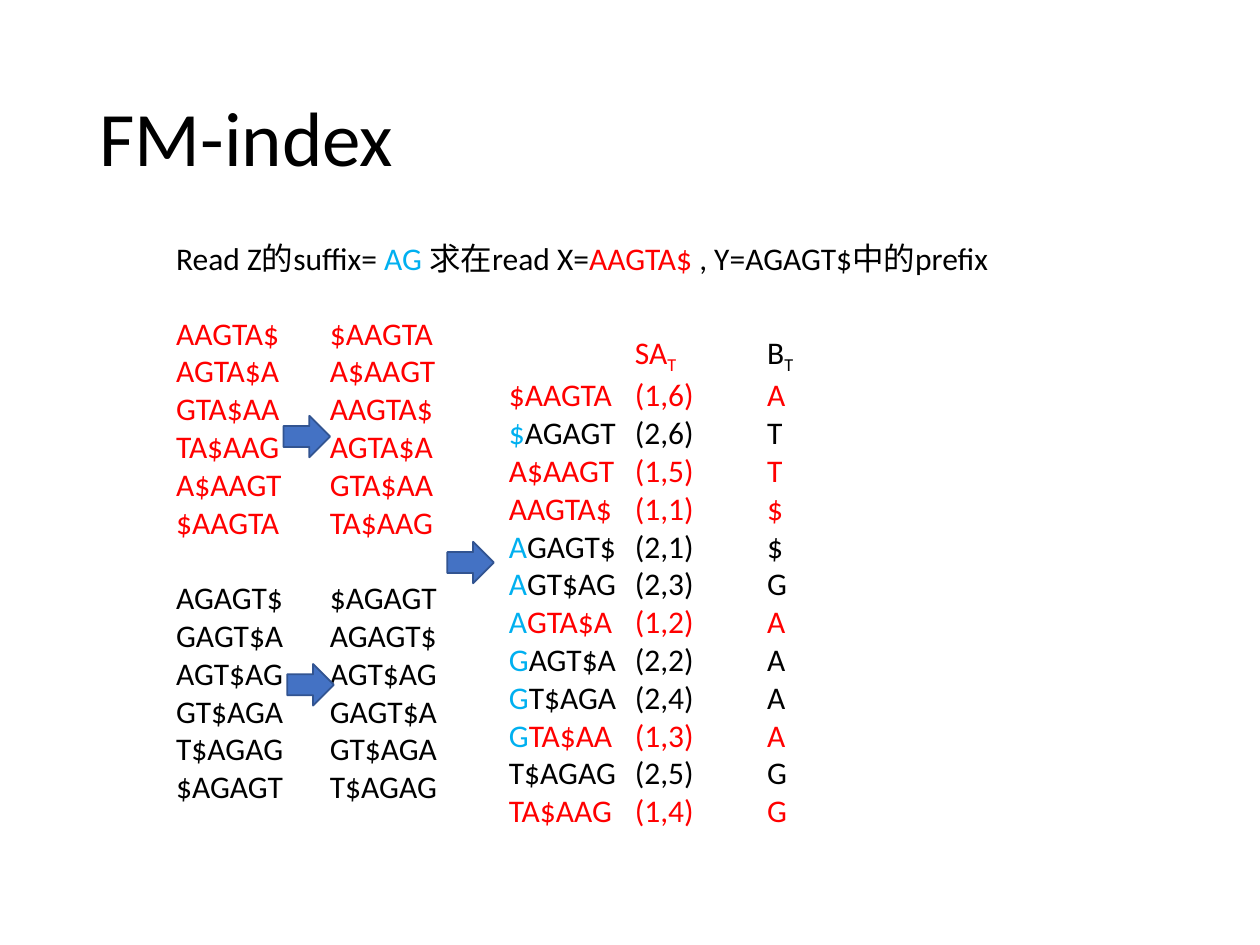
from pptx import Presentation
from pptx.dml.color import RGBColor
from pptx.enum.shapes import MSO_SHAPE
from pptx.enum.text import MSO_ANCHOR, MSO_AUTO_SIZE, PP_ALIGN
from pptx.oxml.ns import qn
from pptx.util import Inches, Pt
from lxml import etree

ARROW = MSO_SHAPE.RIGHT_ARROW
MIDDLE = MSO_ANCHOR.MIDDLE
GROW = MSO_AUTO_SIZE.SHAPE_TO_FIT_TEXT
LEFT = PP_ALIGN.LEFT

BLACK, RED, BLUE = "000000", "FF0000", "00B0F0"
READS = [("AAGTA$", RED), ("AGAGT$", BLACK)]
MATCHED = {1, 4, 5, 6, 7, 8, 9}  # sorted rows whose first letter is marked
GAP = Pt(21.6)  # one line of body text
ARROWS = [(2.25, 3.3), (2.28, 5.27), (3.55, 4.3)]
QUERY = [
    ("Read Z的suffix=", BLACK),
    (" AG ", BLUE),
    ("求在read X=", BLACK),
    ("AAGTA$ ", RED),
    (", Y=AGAGT$中的prefix", BLACK),
]


def rgb(code):
    return RGBColor.from_string(code)


def style(font, size, color):
    form = {"name": "Calibri", "size": Pt(size)}
    for key, value in form.items():
        setattr(font, key, value)
    font.color.rgb = rgb(color)


def add_run(para, text, color, sub=False):
    run = para.add_run()
    run.text = text
    style(run.font, 18, color)
    if sub:
        run._r.get_or_add_rPr().set("baseline", "-25000")


def add_tabs(para, stops):
    tabs = etree.SubElement(para._p.get_or_add_pPr(), qn("a:tabLst"))
    for stop in stops:
        etree.SubElement(tabs, qn("a:tab"), pos=str(Inches(stop)), algn="l")


def add_text(slide, box, lines, wrap=False, tabs=(), gaps=()):
    """Each line is a list of run tuples; gaps holds the lines set apart."""
    frame = slide.shapes.add_textbox(*map(Inches, box)).text_frame
    frame.word_wrap = wrap
    frame.auto_size = GROW
    for i, line in enumerate(lines):
        para = frame.paragraphs[0] if i == 0 else frame.add_paragraph()
        if i in gaps:
            para.space_before = GAP
        if tabs:
            add_tabs(para, tabs)
        for run in line:
            add_run(para, *run)


def add_arrow(slide, left, top):
    shape = slide.shapes.add_shape(
        ARROW, Inches(left), Inches(top), Inches(0.37), Inches(0.33))
    shape.shadow.inherit = False
    shape.fill.solid()
    shape.fill.fore_color.rgb = rgb("4472C4")
    shape.line.color.rgb = rgb("325491")
    shape.line.width = Pt(1)


def set_title(slide, text):
    title = slide.shapes.title
    place = {"left": 0.69, "top": 0.4, "width": 8.62, "height": 1.45}
    for key, value in place.items():
        setattr(title, key, Inches(value))
    frame = title.text_frame
    frame.text = text
    frame.vertical_anchor = MIDDLE
    para = frame.paragraphs[0]
    para.alignment = LEFT
    para.line_spacing = 0.9
    style(para.runs[0].font, 44, BLACK)


def rotate(read):
    return [read[i:] + read[:i] for i in range(len(read))]


def add_reads(slide):
    """Show each read's rotations, as found and then sorted."""
    for left, height, order in ((1.3, 4.04, list), (2.52, 4.34, sorted)):
        lines = [[(turn, color)] for read, color in READS
                 for turn in order(rotate(read))]
        add_text(slide, (left, 2.44, 1.06, height), lines,
                 gaps=[len(READS[0][0])])


def add_index(slide):
    """Merge all rotations into the suffix array and its last letters."""
    rows = sorted((turn, num, pos, color)
                  for num, (read, color) in enumerate(READS, 1)
                  for pos, turn in enumerate(rotate(read), 1))
    array = [[("\t\tSA", RED), ("T", RED, True)]]
    last = [[("B", BLACK), ("T", BLACK, True)]]
    for i, (turn, num, pos, color) in enumerate(rows):
        text = f"{turn}\t({num},{pos})"
        if i in MATCHED:
            array.append([(text[0], BLUE), (text[1:], color)])
        else:
            array.append([(text, color)])
        last.append([(turn[-1], color)])
    add_text(slide, (3.94, 2.59, 1.69, 4.34), array, tabs=(0.5, 1))
    add_text(slide, (5.99, 2.59, 0.42, 4.34), last)


def main():
    deck = Presentation()
    deck.slide_width, deck.slide_height = Inches(10), Inches(7.5)
    slide = deck.slides.add_slide(deck.slide_layouts[5])
    set_title(slide, "FM-index")
    add_reads(slide)
    add_index(slide)
    add_text(slide, (1.3, 1.85, 8.21, 0.4), [QUERY], wrap=True)
    for left, top in ARROWS:
        add_arrow(slide, left, top)
    deck.save("out.pptx")


if __name__ == "__main__":
    main()
